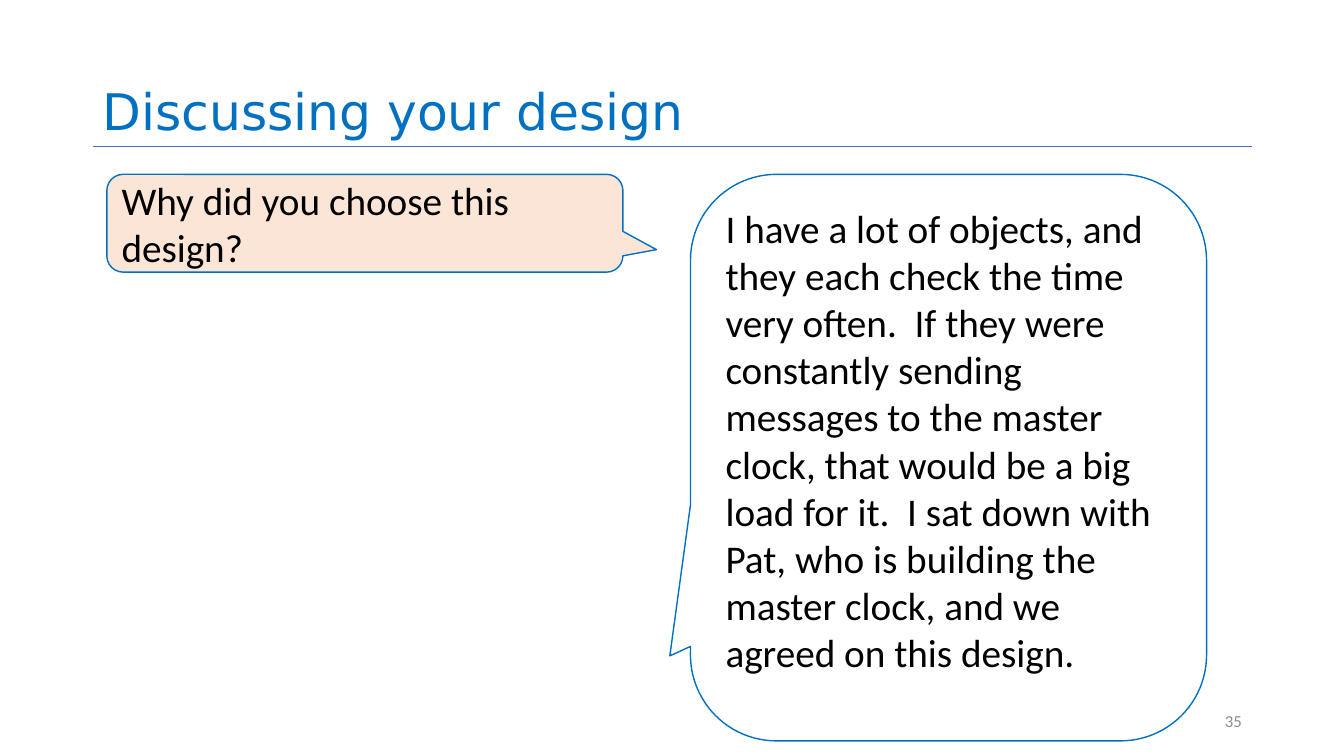
import pptx
import pptx.dml.color
import pptx.enum.shapes
import pptx.enum.text
import pptx.oxml.ns
import pptx.util
from lxml import etree

Pt = pptx.util.Pt
RGBColor = pptx.dml.color.RGBColor
ANCHOR = pptx.enum.text.MSO_ANCHOR
ALIGN = pptx.enum.text.PP_ALIGN

BLUE = RGBColor(0x00, 0x70, 0xC0)
RULE_BLUE = RGBColor(0x44, 0x72, 0xC4)
PEACH = RGBColor(0xFB, 0xE5, 0xD6)
WHITE = RGBColor(0xFF, 0xFF, 0xFF)
BLACK = RGBColor(0x00, 0x00, 0x00)
GREY = RGBColor(0x8C, 0x8C, 0x8C)

MARGIN = 66.24
CONTENT_WIDTH = 828
TITLE_BOTTOM = 104.4
CALLOUT_TOP = 124.56
CALLOUT_WIDTH = 368.64

QUESTION = "Why did you choose this design?"
ANSWER = (
    "I have a lot of objects, and they each check the time very often.  "
    "If they were constantly sending messages to the master clock, "
    "that would be a big load for it.  I sat down with Pat, who is building "
    "the master clock, and we agreed on this design."
)


def write_text(shape, text, *, size, color, font="Calibri", align=ALIGN.LEFT,
               anchor=ANCHOR.TOP, line_spacing=1.0):
    frame = shape.text_frame
    frame.word_wrap = True
    frame.vertical_anchor = anchor
    para = frame.paragraphs[0]
    para.alignment = align
    para.line_spacing = line_spacing
    span = para.add_run()
    span.text = text
    span.font.size = Pt(size)
    span.font.name = font
    span.font.color.rgb = color


def add_text_box(page, text, left, top, width, height, **text_format):
    box = page.shapes.add_textbox(Pt(left), Pt(top), Pt(width), Pt(height))
    write_text(box, text, **text_format)


def add_rule(page, left, right, y):
    rule = page.shapes.add_connector(
        pptx.enum.shapes.MSO_CONNECTOR.STRAIGHT, Pt(left), Pt(y), Pt(right), Pt(y))
    rule.line.color.rgb = RULE_BLUE
    rule.line.width = Pt(0.5)
    etree.SubElement(rule.line._get_or_add_ln().getparent(),
                     pptx.oxml.ns.qn("a:effectLst"))


def add_callout(page, text, left, height, *, tail, fill, anchor):
    callout = page.shapes.add_shape(
        pptx.enum.shapes.MSO_SHAPE.ROUNDED_RECTANGULAR_CALLOUT,
        Pt(left), Pt(CALLOUT_TOP), Pt(CALLOUT_WIDTH), Pt(height))
    callout.shadow.inherit = False
    # The tail tip is given as a share of the size, from the centre
    callout.adjustments[0], callout.adjustments[1] = tail
    callout.fill.solid()
    callout.fill.fore_color.rgb = fill
    callout.line.color.rgb = BLUE
    callout.line.width = Pt(1)
    write_text(callout, text, size=28, color=BLACK, anchor=anchor)


def main():
    deck = pptx.Presentation()
    deck.slide_width = Pt(960)
    deck.slide_height = Pt(540)
    page = deck.slides.add_slide(deck.slide_layouts[6])

    # Title with its rule
    add_rule(page, MARGIN, MARGIN + CONTENT_WIDTH, TITLE_BOTTOM)
    add_text_box(page, "Discussing your design", MARGIN, 0, CONTENT_WIDTH,
                 TITLE_BOTTOM, size=36, color=BLUE, font="DejaVu Sans",
                 anchor=ANCHOR.BOTTOM, line_spacing=0.9)

    # Slide number
    add_text_box(page, "35", 678.24, 500.4, 216, 28.8, size=12, color=GREY,
                 align=ALIGN.RIGHT, anchor=ANCHOR.MIDDLE)

    # Answer and question
    add_callout(page, ANSWER, 493.2, 404.64, tail=(-0.54, 0.35), fill=WHITE,
                anchor=ANCHOR.TOP)
    add_callout(page, QUESTION, 76.32, 69.84, tail=(0.565, 0.27), fill=PEACH,
                anchor=ANCHOR.MIDDLE)

    deck.save("out.pptx")


if __name__ == "__main__":
    main()
